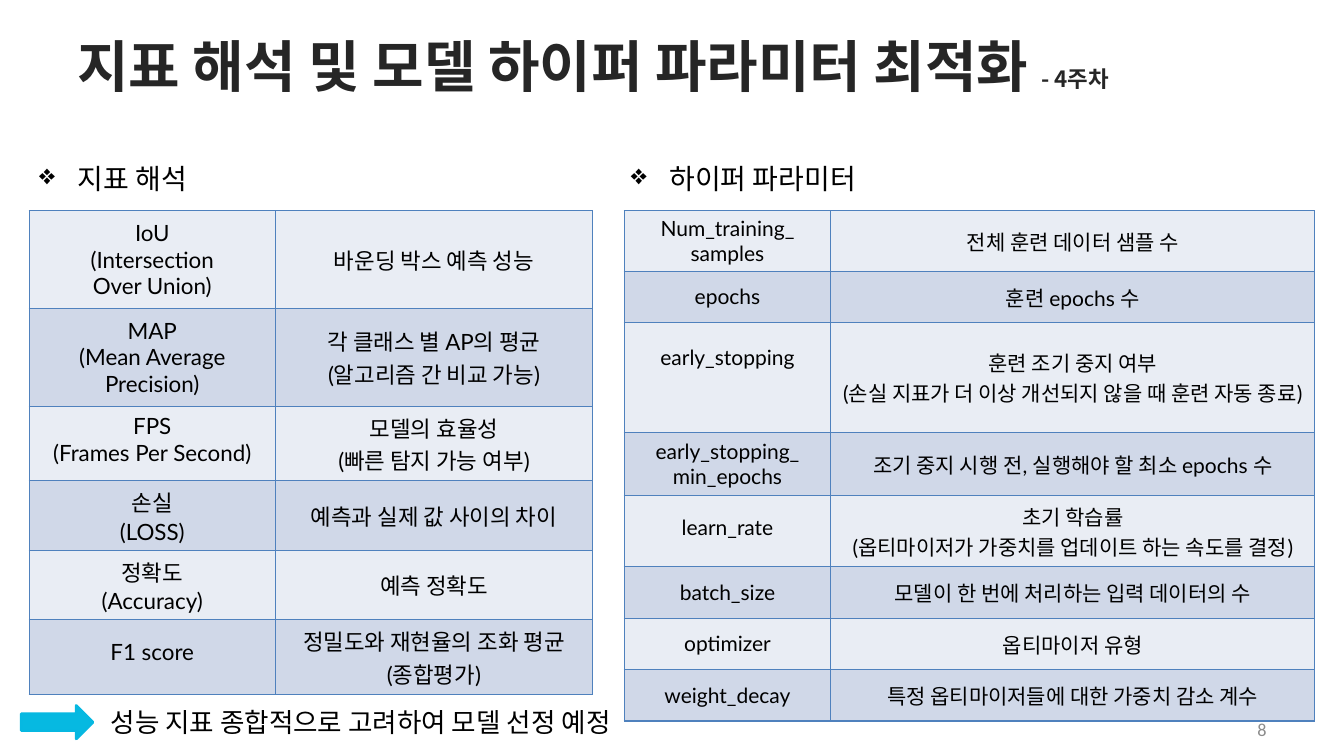
"""Build the slide on metric interpretation and hyperparameter optimisation."""
from dataclasses import dataclass

from lxml.etree import SubElement
from pptx import Presentation
from pptx.dml.color import RGBColor
from pptx.enum.shapes import MSO_SHAPE
from pptx.enum.text import MSO_ANCHOR, PP_ALIGN
from pptx.oxml.ns import qn
from pptx.slide import Slide
from pptx.table import _Cell
from pptx.text.text import _Paragraph
from pptx.util import Emu, Inches, Pt

SLIDE_WIDTH, SLIDE_HEIGHT = Inches(13.33), Inches(7.5)
BLACK = RGBColor(0x00, 0x00, 0x00)
TITLE_COLOR = RGBColor(0x26, 0x26, 0x26)
NUMBER_COLOR = RGBColor(0x8C, 0x8C, 0x8C)
BORDER_COLOR = RGBColor(0x4F, 0x81, 0xBD)
ARROW_FILL = RGBColor(0x06, 0xB9, 0xE1)
ARROW_LINE = RGBColor(0x06, 0xB8, 0xE1)
BAND_COLORS = (RGBColor(0xE9, 0xED, 0xF4), RGBColor(0xD0, 0xD8, 0xE8))


@dataclass(frozen=True)
class Area:
    """A rectangle in percent of the slide's width and height."""
    left: float
    top: float
    width: float
    height: float

    def lengths(self) -> tuple[Emu, Emu, Emu, Emu]:
        return (across(self.left), down(self.top),
                across(self.width), down(self.height))


@dataclass(frozen=True)
class Label:
    text: str
    area: Area
    size: float
    font: str
    color: RGBColor = BLACK
    bold: bool = False
    bullet: str = ""
    align: PP_ALIGN = PP_ALIGN.LEFT
    anchor: MSO_ANCHOR = MSO_ANCHOR.TOP


@dataclass(frozen=True)
class Row:
    height: float
    name: str
    meaning: str
    name_lift: float = 0


@dataclass(frozen=True)
class Glossary:
    left: float
    columns: tuple[float, float]
    size: float
    rows: tuple[Row, ...]


TABLE_TOP = 27.87
TITLE = Label("지표 해석 및 모델 하이퍼 파라미터 최적화 ", Area(5, 2.8, 90, 11.6), 40,
              "Noto Sans CJK KR", TITLE_COLOR, bold=True, anchor=MSO_ANCHOR.MIDDLE)
LABELS = (
    Label("지표 해석", Area(2.18, 20.67, 15.45, 5.87), 20, "Calibri", bullet="❖"),
    Label("하이퍼 파라미터", Area(46.21, 20.67, 24.46, 5.87), 20, "Calibri", bullet="❖"),
    Label("성능 지표 종합적으로 고려하여 모델 선정 예정",
          Area(7.5, 92.67, 40.5, 5.6), 19, "Lato"),
    Label("8", Area(71.64, 94.8, 23.33, 3.2), 13, "Calibri", NUMBER_COLOR,
          align=PP_ALIGN.RIGHT, anchor=MSO_ANCHOR.MIDDLE),
)
ARROW_AREA = Area(1.58, 93.33, 5.33, 4.4)
METRICS = Glossary(2.18, (18.3, 23.63), 16, (
    Row(12.93, "IoU\n(Intersection\nOver Union)", "바운딩 박스 예측 성능"),
    Row(12.93, "MAP\n(Mean Average Precision)", "각 클래스 별 AP의 평균\n(알고리즘 간 비교 가능)"),
    Row(9.87, "FPS\n(Frames Per Second)", "모델의 효율성\n(빠른 탐지 가능 여부)", 0.04),
    Row(9.2, "손실\n(LOSS)", "예측과 실제 값 사이의 차이"),
    Row(9.2, "정확도\n(Accuracy)", "예측 정확도"),
    Row(9.87, "F1 score", "정밀도와 재현율의 조화 평균\n(종합평가)", 0.05),
))
PARAMETERS = Glossary(46.44, (15.38, 36.01), 15, (
    Row(8, "Num_training_\nsamples", "전체 훈련 데이터 샘플 수"),
    Row(6.8, "epochs", "훈련 epochs 수"),
    Row(14.5, "early_stopping", "훈련 조기 중지 여부\n(손실 지표가 더 이상 개선되지 않을 때 훈련 자동 종료)", 0.2),
    Row(8.4, "early_stopping_\nmin_epochs", "조기 중지 시행 전, 실행해야 할 최소 epochs 수"),
    Row(9.4, "learn_rate", "초기 학습률\n(옵티마이저가 가중치를 업데이트 하는 속도를 결정)", 0.04),
    Row(6.8, "batch_size", "모델이 한 번에 처리하는 입력 데이터의 수"),
    Row(6.8, "optimizer", "옵티마이저 유형"),
    Row(6.8, "weight_decay", "특정 옵티마이저들에 대한 가중치 감소 계수"),
))


def across(percent: float) -> Emu:
    return Emu(round(SLIDE_WIDTH * percent / 100))


def down(percent: float) -> Emu:
    return Emu(round(SLIDE_HEIGHT * percent / 100))


def style_paragraph(paragraph: _Paragraph, size: float, font: str, color: RGBColor) -> None:
    paragraph.font.size = Pt(size)
    paragraph.font.name = font
    paragraph.font.color.rgb = color


def add_bullet(paragraph: _Paragraph, symbol: str) -> None:
    properties = paragraph._p.get_or_add_pPr()
    properties.set("marL", str(Inches(0.38)))
    properties.set("indent", str(-Inches(0.38)))
    SubElement(properties, qn("a:buChar")).set("char", symbol)


def add_label(slide: Slide, label: Label) -> _Paragraph:
    frame = slide.shapes.add_textbox(*label.area.lengths()).text_frame
    frame.word_wrap = True
    frame.vertical_anchor = label.anchor
    paragraph = frame.paragraphs[0]
    paragraph.add_run().text = label.text
    paragraph.alignment = label.align
    if label.bullet:
        add_bullet(paragraph, label.bullet)
    style_paragraph(paragraph, label.size, label.font, label.color)
    paragraph.font.bold = label.bold
    return paragraph


def add_title(slide: Slide) -> None:
    paragraph = add_label(slide, TITLE)
    paragraph.runs[0].font.size = Pt(TITLE.size)
    week = paragraph.add_run()
    week.text = "- 4주차"
    week.font.size = Pt(16)


def add_borders(cell: _Cell) -> None:
    properties = cell._tc.get_or_add_tcPr()
    for side in ("a:lnL", "a:lnR", "a:lnT", "a:lnB"):
        line = SubElement(properties, qn(side), w=str(Pt(1)))
        fill = SubElement(line, qn("a:solidFill"))
        SubElement(fill, qn("a:srgbClr"), val=str(BORDER_COLOR))


def fill_cell(cell: _Cell, text: str, size: float, color: RGBColor, lift: float) -> None:
    add_borders(cell)
    cell.fill.solid()
    cell.fill.fore_color.rgb = color
    cell.vertical_anchor = MSO_ANCHOR.MIDDLE
    cell.margin_bottom = Inches(0.05 + 2 * lift)
    cell.text = text
    for paragraph in cell.text_frame.paragraphs:
        paragraph.alignment = PP_ALIGN.CENTER
        style_paragraph(paragraph, size, "Lato", BLACK)


def add_glossary(slide: Slide, glossary: Glossary) -> None:
    area = Area(glossary.left, TABLE_TOP, sum(glossary.columns),
                sum(row.height for row in glossary.rows))
    table = slide.shapes.add_table(len(glossary.rows), 2, *area.lengths()).table
    table.first_row = table.horz_banding = False
    for column, width in zip(table.columns, glossary.columns):
        column.width = across(width)
    for index, row in enumerate(glossary.rows):
        table.rows[index].height = down(row.height)
        color = BAND_COLORS[index % 2]
        fill_cell(table.cell(index, 0), row.name, glossary.size, color, row.name_lift)
        fill_cell(table.cell(index, 1), row.meaning, glossary.size, color, 0)


def add_arrow(slide: Slide) -> None:
    arrow = slide.shapes.add_shape(MSO_SHAPE.RIGHT_ARROW, *ARROW_AREA.lengths())
    arrow.shadow.inherit = False
    arrow.fill.solid()
    arrow.fill.fore_color.rgb = ARROW_FILL
    arrow.line.color.rgb = ARROW_LINE
    arrow.line.width = Pt(2)


def main() -> None:
    presentation = Presentation()
    presentation.slide_width, presentation.slide_height = SLIDE_WIDTH, SLIDE_HEIGHT
    slide = presentation.slides.add_slide(presentation.slide_layouts[6])
    add_title(slide)
    for glossary in (METRICS, PARAMETERS):
        add_glossary(slide, glossary)
    add_arrow(slide)
    for label in LABELS:
        add_label(slide, label)
    presentation.save("out.pptx")


if __name__ == "__main__":
    main()
